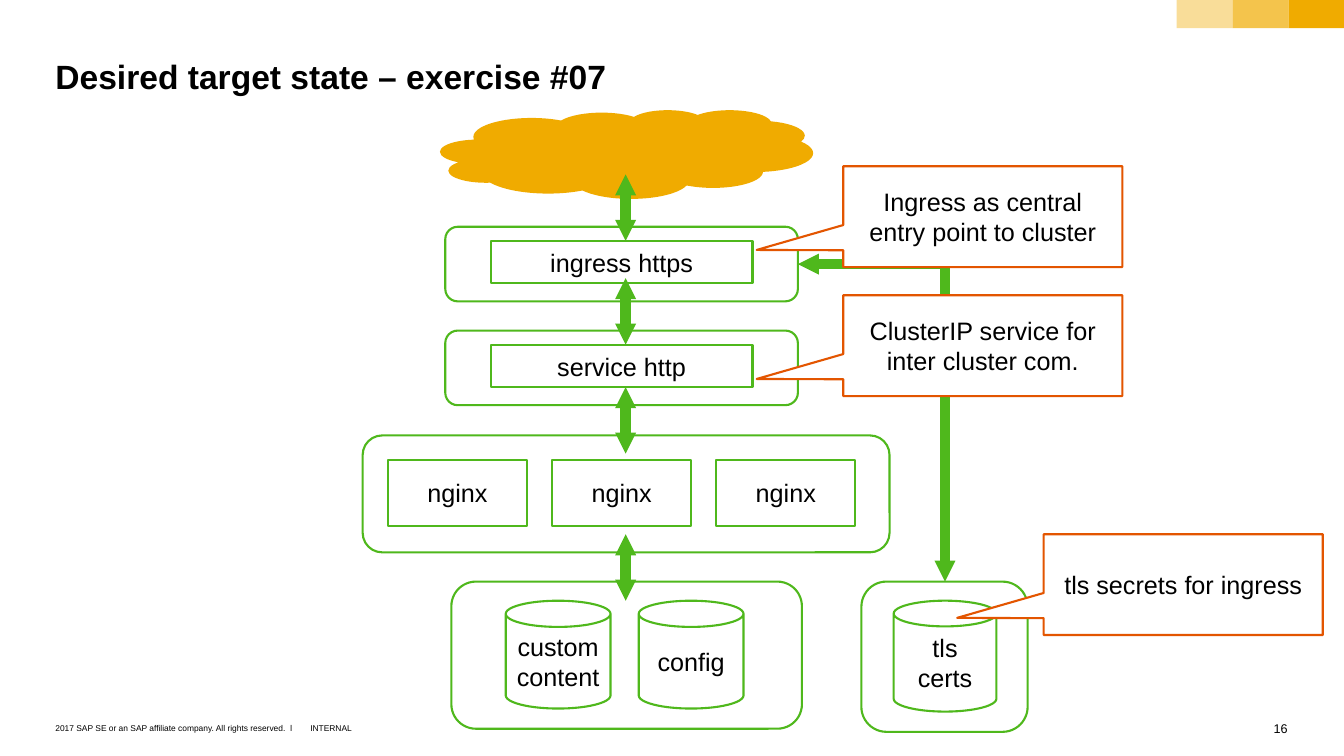
from dataclasses import dataclass

from lxml import etree
from pptx import Presentation
from pptx.dml.color import RGBColor
from pptx.enum.shapes import MSO_CONNECTOR as Link, MSO_SHAPE as Shape
from pptx.enum.text import MSO_ANCHOR as Anchor, PP_ALIGN as Align
from pptx.oxml.ns import qn
from pptx.util import Inches, Pt


@dataclass(frozen=True)
class Theme:
    font: str = "Arial"
    text: str = "000000"
    paper: str = "FFFFFF"
    gold: str = "F0AB00"
    green: str = "4FB81C"
    orange: str = "E35500"
    title_size: float = 24
    label_size: float = 18
    number_size: float = 9
    footer_size: float = 6
    outline: float = 1.5
    arrow: float = 7.5


class Diagram:
    def __init__(self, slide, theme):
        self.shapes = slide.shapes
        self.theme = theme

    def _write(self, frame, text, size, align, bold=False):
        frame.text = text
        paragraph = frame.paragraphs[0]
        paragraph.alignment = align
        for run in paragraph.runs:
            run.font.name = self.theme.font
            run.font.size = Pt(size)
            run.font.bold = bold
            run.font.color.rgb = RGBColor.from_string(self.theme.text)

    def text(self, text, left, top, width, height, size,
             align=Align.LEFT, bold=False, wrap=True, bullet=None):
        box = self.shapes.add_textbox(*map(Inches, (left, top, width, height)))
        frame = box.text_frame
        frame.margin_left = frame.margin_right = 0
        frame.margin_top = frame.margin_bottom = 0
        frame.word_wrap = wrap
        if bullet:
            properties = frame.paragraphs[0]._p.get_or_add_pPr()
            indent = Inches(0.09)
            properties.set("marL", str(indent))
            properties.set("indent", str(-indent))
            etree.SubElement(properties, qn("a:buChar")).set("char", bullet)
        self._write(frame, text, size, align, bold)

    def solid(self, kind, left, top, width, height, color, opacity=100):
        """Add a filled shape without outline; opacity is a percentage."""
        shape = self.shapes.add_shape(kind, *map(Inches, (left, top, width, height)))
        shape.shadow.inherit = False
        shape.fill.solid()
        shape.fill.fore_color.rgb = RGBColor.from_string(color)
        shape.line.fill.background()
        if opacity < 100:
            tint = shape._element.spPr.find(f".//{qn('a:srgbClr')}")
            etree.SubElement(tint, qn("a:alpha")).set("val", str(opacity * 1000))
        return shape

    def outlined(self, kind, left, top, width, height, label="", color=None):
        """Add a white shape with a coloured outline and a centred label."""
        shape = self.solid(kind, left, top, width, height, self.theme.paper)
        shape.line.color.rgb = RGBColor.from_string(color or self.theme.green)
        shape.line.width = Pt(self.theme.outline)
        if label:
            frame = shape.text_frame
            frame.word_wrap = True
            frame.vertical_anchor = Anchor.MIDDLE
            frame.margin_left = frame.margin_right = Inches(0.1)
            frame.margin_top = frame.margin_bottom = Inches(0.08)
            self._write(frame, label, self.theme.label_size, Align.CENTER)
        return shape

    def callout(self, label, left, top):
        bubble = self.outlined(Shape.RECTANGULAR_CALLOUT, left, top, 2.77, 1,
                               label, self.theme.orange)
        bubble.adjustments[0], bubble.adjustments[1] = -0.81, 0.33

    def arrow(self, x1, y1, x2, y2, corner=False):
        """Add a double-headed arrow; a corner one runs across, then down."""
        kind = Link.ELBOW if corner else Link.STRAIGHT
        link = self.shapes.add_connector(kind, *map(Inches, (x1, y1, x2, y2)))
        link.line.color.rgb = RGBColor.from_string(self.theme.green)
        link.line.width = Pt(self.theme.arrow)
        properties = link._element.spPr
        if corner:
            properties.find(qn("a:prstGeom")).set("prst", "bentConnector2")
        line = properties.find(qn("a:ln"))
        for end in ("a:headEnd", "a:tailEnd"):
            head = etree.SubElement(line, qn(end))
            for key, value in (("type", "triangle"), ("w", "sm"), ("len", "sm")):
                head.set(key, value)
        etree.SubElement(properties, qn("a:effectLst"))


def main():
    theme = Theme()
    deck = Presentation()
    deck.slide_width, deck.slide_height = Inches(13.34), Inches(7.5)
    diagram = Diagram(deck.slides.add_slide(deck.slide_layouts[6]), theme)

    # Page furniture
    diagram.text("16", 12.63, 7.15, 0.15, 0.15, theme.number_size, Align.RIGHT, wrap=False)
    diagram.text("INTERNAL", 3.08, 7.17, 0.42, 0.1, theme.footer_size, wrap=False)
    diagram.text("2017 SAP SE or an SAP affiliate company. All rights reserved.  ǀ",
                 0.55, 7.17, 2.48, 0.1, theme.footer_size, bullet="©")
    for step, opacity in enumerate((40, 70, 100)):
        diagram.solid(Shape.RECTANGLE, 11.68 + step * 0.555, 0, 0.555, 0.28,
                      theme.gold, opacity)
    diagram.text("Desired target state – exercise #07", 0.55, 0.55, 12.23, 0.4,
                 theme.title_size, bold=True)

    # Entry layers
    diagram.solid(Shape.CLOUD, 4.37, 1.09, 3.7, 0.88, theme.gold)
    for layer, top in (("ingress https", 2.25), ("service http", 3.28)):
        diagram.outlined(Shape.ROUNDED_RECTANGLE, 4.42, top, 3.5, 0.74)
        diagram.outlined(Shape.RECTANGLE, 4.87, top + 0.14, 2.6, 0.42, layer)

    # Web servers
    diagram.outlined(Shape.ROUNDED_RECTANGLE, 3.6, 4.32, 5.23, 1.16)
    for column in range(3):
        diagram.outlined(Shape.RECTANGLE, 3.85 + column * 1.63, 4.56, 1.38, 0.66, "nginx")

    # Storage
    diagram.outlined(Shape.ROUNDED_RECTANGLE, 4.48, 5.77, 3.48, 1.46)
    for store, left in (("custom content", 5.02), ("config", 6.34)):
        diagram.outlined(Shape.CAN, left, 5.96, 1.04, 1.07, store)
    diagram.outlined(Shape.ROUNDED_RECTANGLE, 8.55, 5.77, 1.65, 1.49)
    diagram.outlined(Shape.CAN, 8.87, 5.96, 1.02, 1.1, "tls certs")

    # Traffic and explanations; the upper callouts cover the bent arrow
    diagram.arrow(7.92, 2.62, 9.38, 5.77, corner=True)
    for top in (1.73, 2.76, 3.84, 5.3):
        diagram.arrow(6.21, top, 6.21, top + 0.66)
    diagram.callout("tls secrets for ingress", 10.36, 5.3)
    diagram.callout("Ingress as central entry point to cluster", 8.37, 1.65)
    diagram.callout("ClusterIP service for inter cluster com.", 8.37, 2.93)

    deck.save("out.pptx")


if __name__ == "__main__":
    main()
